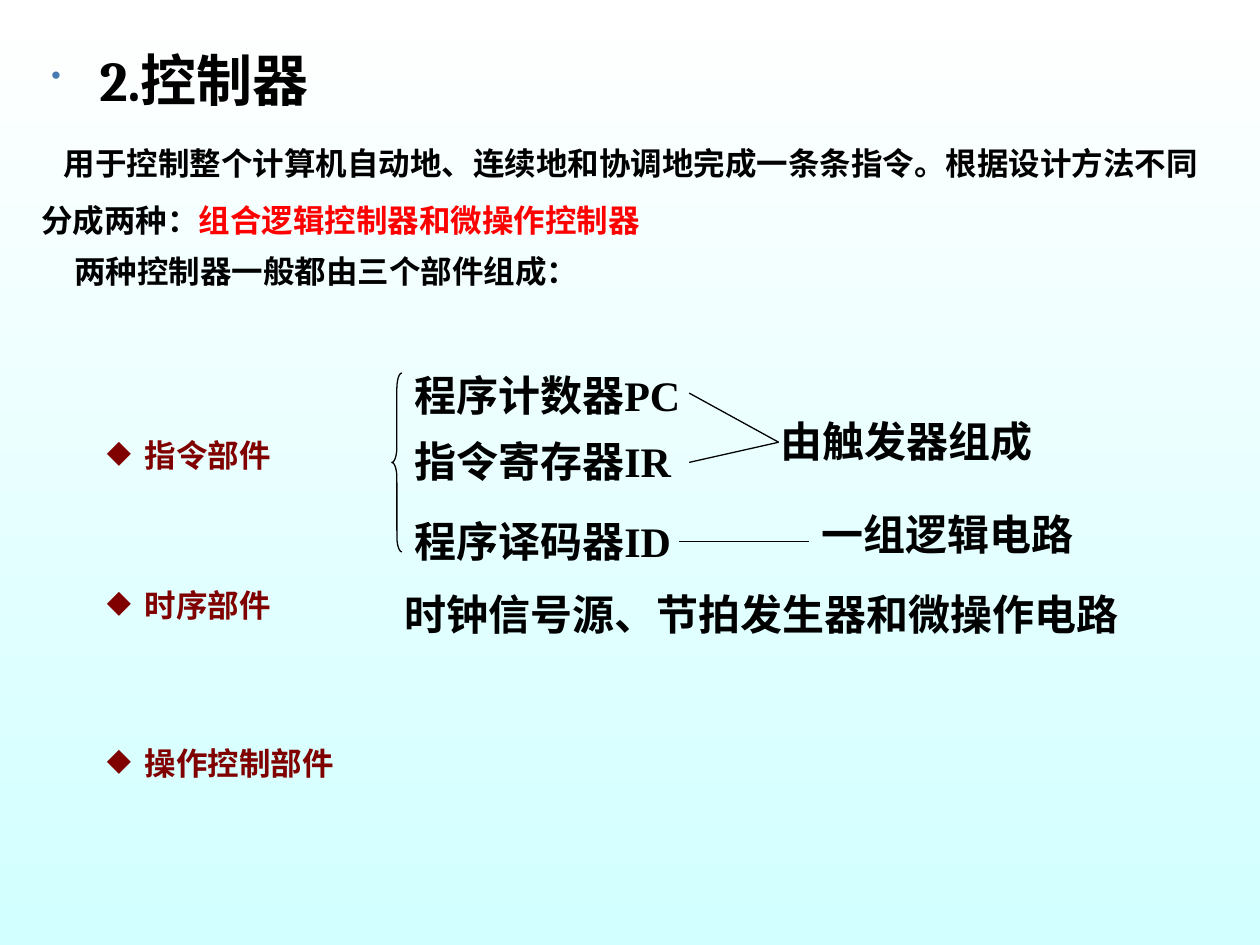
"""Build the slide on the controller and its three parts."""
from lxml.etree import SubElement
from pptx import Presentation
from pptx.dml.color import RGBColor
from pptx.enum.shapes import MSO_CONNECTOR as Connector, MSO_SHAPE as Shape
from pptx.oxml.ns import qn
from pptx.util import Inches, Pt

BLACK, RED, MAROON, BLUE = "000000", "FF0000", "800000", "477AB1"
SERIF = "Times New Roman"


def color(hex_code):
    return RGBColor.from_string(hex_code)


def add_text(left, top, width, height, lines, size, font=SERIF, ink=BLACK,
             margin=0, first=0, bullet=None, bullet_ink=MAROON, bullet_size=100):
    box = slide.shapes.add_textbox(left * column, top * row, width * column, height * row)
    frame = box.text_frame
    frame.word_wrap = True
    for number, line in enumerate(lines):
        paragraph = frame.paragraphs[0] if number == 0 else frame.add_paragraph()
        if number:
            paragraph.space_before = Pt(11.2)
        properties = paragraph._p.get_or_add_pPr()
        properties.set("marL", str(Inches(margin)))
        properties.set("indent", str(Inches(0 if number else first)))
        if bullet:
            tint = SubElement(properties, qn("a:buClr"))
            SubElement(tint, qn("a:srgbClr"), val=bullet_ink)
            SubElement(properties, qn("a:buSzPct"), val=str(bullet_size * 1000))
            SubElement(properties, qn("a:buChar"), char=bullet)
        paragraph.font.name = font
        paragraph.font.size = Pt(size)
        paragraph.font.bold = True
        paragraph.font.color.rgb = color(ink)
        for words, accent in line:
            run = paragraph.add_run()
            run.text = words
            if accent:
                run.font.color.rgb = color(accent)


presentation = Presentation()
presentation.slide_width, presentation.slide_height = Inches(10), Inches(7.5)
column = presentation.slide_width // 100
row = presentation.slide_height // 75
slide = presentation.slides.add_slide(presentation.slide_layouts[6])

background = slide.background.fill
background.gradient()
background.gradient_angle = 270
for stop, hex_code in zip(background.gradient_stops, ("FFFFFF", "D2FFFF")):
    stop.color.rgb = color(hex_code)

add_text(3.1, 3.1, 85, 7.1, [[("2.控制器", None)]], 32, font="Cambria",
         margin=0.38, first=-0.38, bullet="•", bullet_ink=BLUE, bullet_size=50)
introduction = [
    [("用于控制整个计算机自动地、连续地和协调地完成一条条指令。根据设计方法不同", None)],
    [("分成两种：", None), ("组合逻辑控制器和微操作控制器", RED)],
]
add_text(2.3, 10.9, 95.3, 8.6, introduction, 18, first=0.18)
add_text(3.1, 19.5, 95.3, 4, [[("两种控制器一般都由三个部件组成：", None)]], 18, first=0.18)

for part, top in (("指令部件", 34.1), ("时序部件", 46), ("操作控制部件", 58.6)):
    add_text(7.5, top, 48, 4, [[(part, None)]], 18, ink=MAROON,
             margin=0.3, first=-0.3, bullet="◆")

for label, left, top, width in (
    ("程序计数器PC", 31.9, 28.8, 47.3),
    ("指令寄存器IR", 31.9, 34.1, 47.3),
    ("程序译码器ID", 31.9, 40.4, 47.3),
    ("由触发器组成", 61, 32.5, 32.3),
    ("一组逻辑电路", 64.2, 39.9, 27.6),
    ("时钟信号源、节拍发生器和微操作电路", 31.1, 46.2, 61.4),
):
    add_text(left, top, width, 5, [[(label, None)]], 24)

brace = slide.shapes.add_shape(
    Shape.LEFT_BRACE, 31.1 * column, 29.6 * row, 0.8 * column, 14.2 * row)
brace.adjustments[0] = 1.5
brace.shadow.inherit = False
brace.fill.background()
brace.line.color.rgb = color(BLACK)
brace.line.width = Pt(0.75)

for left, top, right, bottom in (
    (54.7, 31.2, 61.8, 35.1), (54.7, 36.7, 61.8, 35.1), (53.9, 43, 64.2, 43),
):
    link = slide.shapes.add_connector(
        Connector.STRAIGHT, left * column, top * row, right * column, bottom * row)
    link.line.color.rgb = color(BLACK)
    link.line.width = Pt(0.75)
    SubElement(link._element.spPr, qn("a:effectLst"))

presentation.save("out.pptx")
